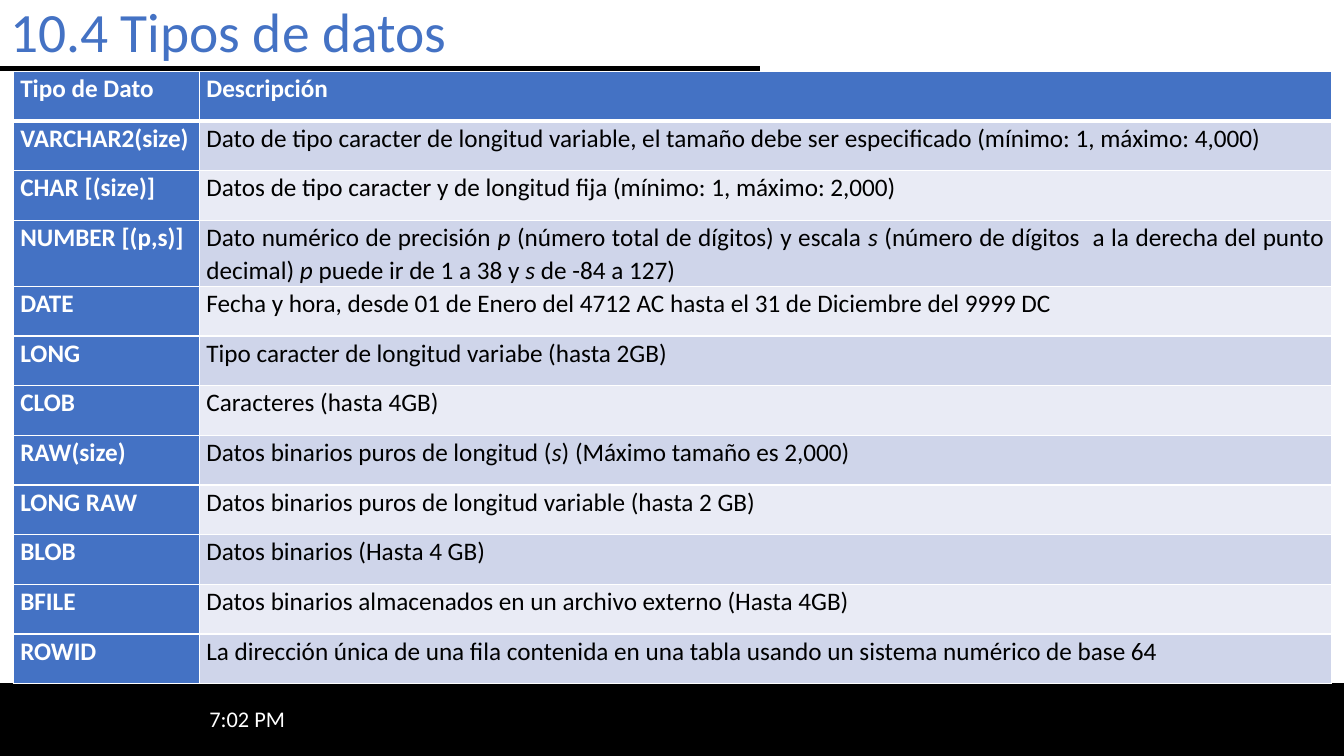
from dataclasses import dataclass

import lxml.etree
import pptx
import pptx.dml.color
import pptx.enum.shapes
import pptx.enum.text
import pptx.oxml.ns
import pptx.util

PX = 6350
FONT = "Calibri"
COLORS = {
    "accent": "4472C4",
    "band_dark": "CFD5EA",
    "band_light": "E9EBF5",
    "black": "000000",
    "white": "FFFFFF",
}
COLUMN_WIDTHS = (266, 1617)
ROW_HEIGHT = 71


@dataclass(frozen=True)
class DataType:
    name: str
    description: str


HEADER = DataType("Tipo de Dato", "Descripción")
DATA_TYPES = [
    DataType("VARCHAR2(size)", "Dato de tipo caracter de longitud variable, el tamaño debe ser "
             "especificado (mínimo: 1, máximo: 4,000)"),
    DataType("CHAR [(size)]", "Datos de tipo caracter y de longitud fija (mínimo: 1, máximo: 2,000)"),
    DataType("NUMBER [(p,s)]", "Dato numérico de precisión *p* (número total de dígitos) y escala *s* "
             "(número de dígitos  a la derecha del punto decimal)* p *puede ir de 1 a 38 y *s* de -84 a 127)"),
    DataType("DATE", "Fecha y hora, desde 01 de Enero del 4712 AC hasta el 31 de Diciembre del 9999 DC"),
    DataType("LONG", "Tipo caracter de longitud variabe (hasta 2GB)"),
    DataType("CLOB", "Caracteres (hasta 4GB)"),
    DataType("RAW(size)", "Datos binarios puros de longitud (*s*) (Máximo tamaño es 2,000)"),
    DataType("LONG RAW", "Datos binarios puros de longitud variable (hasta 2 GB)"),
    DataType("BLOB", "Datos binarios (Hasta 4 GB)"),
    DataType("BFILE", "Datos binarios almacenados en un archivo externo (Hasta 4GB)"),
    DataType("ROWID", "La dirección única de una fila contenida en una tabla usando un sistema "
             "numérico de base 64"),
]


def px(length: int) -> pptx.util.Emu:
    return pptx.util.Emu(length * PX)


def color(name: str) -> pptx.dml.color.RGBColor:
    return pptx.dml.color.RGBColor.from_string(COLORS[name])


def format_font(font, size: float, color_name: str, bold: bool = False) -> None:
    font.name = FONT
    font.size = pptx.util.Pt(size)
    font.bold = bold
    font.color.rgb = color(color_name)


def add_title(page) -> None:
    title = page.shapes.title
    title.left, title.top, title.width, title.height = px(0), px(0), px(1152), px(98)
    frame = title.text_frame
    frame.text = "10.4 Tipos de datos"
    frame.vertical_anchor = pptx.enum.text.MSO_ANCHOR.MIDDLE
    para = frame.paragraphs[0]
    para.alignment = pptx.enum.text.PP_ALIGN.LEFT
    para.line_spacing = 0.9
    format_font(para.runs[0].font, 39.6, "accent")


def add_footer_bar(page) -> None:
    bar = page.shapes.add_shape(
        pptx.enum.shapes.MSO_SHAPE.RECTANGLE, px(0), px(976), px(1920), px(104))
    bar.shadow.inherit = False
    bar.fill.solid()
    bar.fill.fore_color.rgb = color("black")
    bar.line.fill.background()


def add_title_rule(page) -> None:
    rule = page.shapes.add_connector(
        pptx.enum.shapes.MSO_CONNECTOR.STRAIGHT, px(0), px(98), px(1086), px(98))
    rule.line.color.rgb = color("black")
    rule.line.width = pptx.util.Pt(3)
    properties = rule._element.spPr
    lxml.etree.SubElement(properties, pptx.oxml.ns.qn("a:effectLst"))


def add_time(page) -> None:
    box = page.shapes.add_textbox(px(285), px(998), px(276), px(58))
    frame = box.text_frame
    frame.word_wrap = True
    frame.vertical_anchor = pptx.enum.text.MSO_ANCHOR.MIDDLE
    frame.text = "7:02 PM"
    format_font(frame.paragraphs[0].runs[0].font, 16, "white")


def set_borders(cell, top: int, bottom: int) -> None:
    properties = cell._tc.get_or_add_tcPr()
    for side, points in (("L", 1), ("R", 1), ("T", top), ("B", bottom)):
        line = lxml.etree.SubElement(
            properties, pptx.oxml.ns.qn(f"a:ln{side}"), w=str(pptx.util.Pt(points)))
        fill = lxml.etree.SubElement(line, pptx.oxml.ns.qn("a:solidFill"))
        lxml.etree.SubElement(fill, pptx.oxml.ns.qn("a:srgbClr"), val=COLORS["white"])


def fill_cell(cell, text: str, fill: str, heading: bool) -> None:
    cell.margin_left = cell.margin_right = px(10)
    cell.margin_top = cell.margin_bottom = 0
    cell.fill.solid()
    cell.fill.fore_color.rgb = color(fill)
    para = cell.text_frame.paragraphs[0]
    para.alignment = pptx.enum.text.PP_ALIGN.JUSTIFY
    para.line_spacing = 1.07
    para.space_after = pptx.util.Pt(8)
    for index, piece in enumerate(text.split("*")):
        span = para.add_run()
        span.text = piece
        format_font(span.font, 18, "white" if heading else "black", heading)
        span.font.italic = index % 2 == 1


def add_type_table(page) -> None:
    entries = [HEADER, *DATA_TYPES]
    table = page.shapes.add_table(
        len(entries), len(COLUMN_WIDTHS), px(19), px(102),
        px(sum(COLUMN_WIDTHS)), px(ROW_HEIGHT * len(entries))).table
    table.first_col = True
    for column, width in zip(table.columns, COLUMN_WIDTHS):
        column.width = px(width)
    for index, entry in enumerate(entries):
        table.rows[index].height = px(ROW_HEIGHT)
        band = "band_dark" if index % 2 else "band_light"
        for column, text in enumerate((entry.name, entry.description)):
            heading = index == 0 or column == 0
            cell = table.cell(index, column)
            set_borders(cell, 3 if index == 1 else 1, 3 if index == 0 else 1)
            fill_cell(cell, text, "accent" if heading else band, heading)


def main() -> None:
    deck = pptx.Presentation()
    deck.slide_width, deck.slide_height = px(1920), px(1080)
    page = deck.slides.add_slide(deck.slide_layouts.get_by_name("Title Only"))
    add_footer_bar(page)
    add_title_rule(page)
    add_title(page)
    add_type_table(page)
    add_time(page)
    deck.save("out.pptx")


if __name__ == "__main__":
    main()
